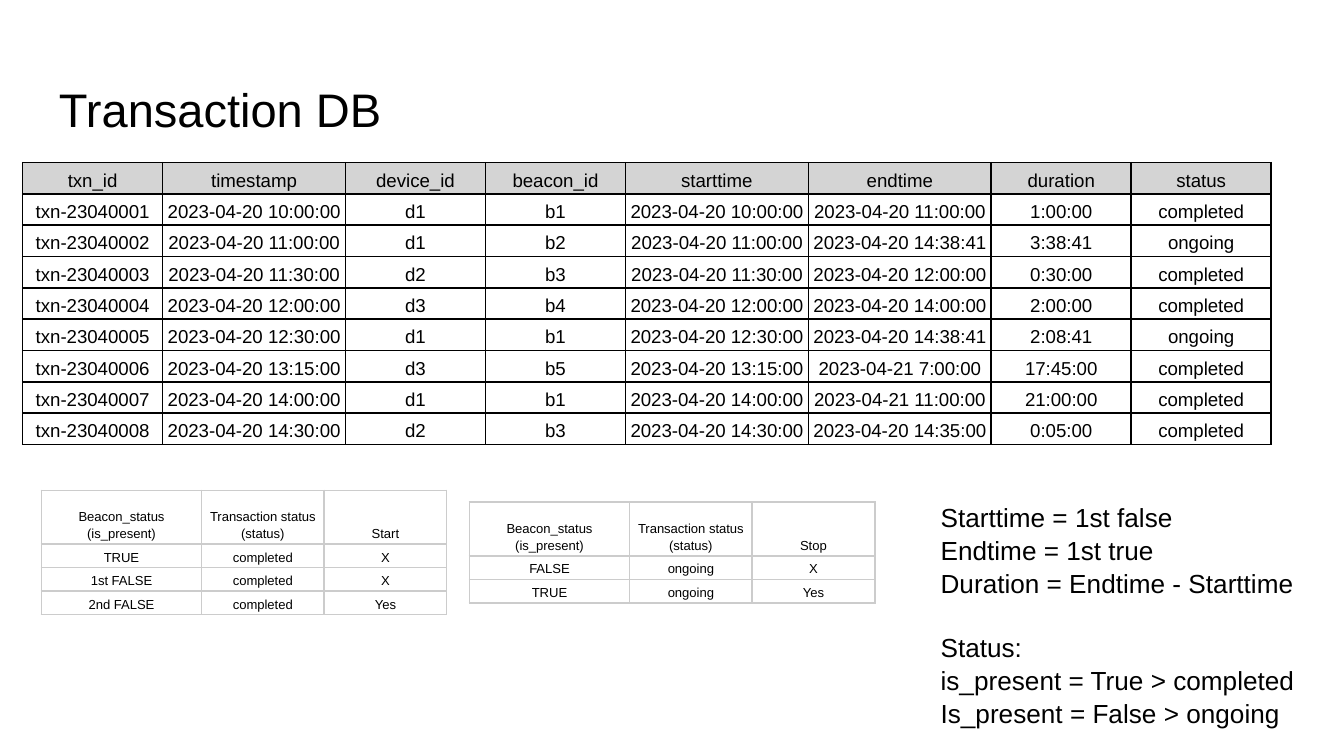
from dataclasses import dataclass

from lxml.etree import SubElement
from pptx import Presentation
from pptx.dml.color import RGBColor
from pptx.enum.text import MSO_ANCHOR, PP_ALIGN
from pptx.oxml.ns import qn
from pptx.util import Pt


@dataclass(frozen=True)
class Theme:
    font: str = "Arial"
    ink: str = "000000"
    head: str = "D4D4D4"
    rule: str = "CCCCCC"
    line: float = 0.94
    title: float = 25.2
    note: float = 14
    cell: float = 10
    small: float = 7


THEME = Theme()

HEADS = ["txn_id", "timestamp", "device_id", "beacon_id",
         "starttime", "endtime", "duration", "status"]
# start, device, beacon, end, duration, status
TRIPS = [
    ("2023-04-20 10:00:00", "d1", "b1", "2023-04-20 11:00:00", "1:00:00", "completed"),
    ("2023-04-20 11:00:00", "d1", "b2", "2023-04-20 14:38:41", "3:38:41", "ongoing"),
    ("2023-04-20 11:30:00", "d2", "b3", "2023-04-20 12:00:00", "0:30:00", "completed"),
    ("2023-04-20 12:00:00", "d3", "b4", "2023-04-20 14:00:00", "2:00:00", "completed"),
    ("2023-04-20 12:30:00", "d1", "b1", "2023-04-20 14:38:41", "2:08:41", "ongoing"),
    ("2023-04-20 13:15:00", "d3", "b5", "2023-04-21 7:00:00", "17:45:00", "completed"),
    ("2023-04-20 14:00:00", "d1", "b1", "2023-04-21 11:00:00", "21:00:00", "completed"),
    ("2023-04-20 14:30:00", "d2", "b3", "2023-04-20 14:35:00", "0:05:00", "completed"),
]
STATES = ["Beacon_status\n(is_present)", "Transaction status\n(status)"]
STARTS = [
    ("TRUE", "completed", "X"),
    ("1st FALSE", "completed", "X"),
    ("2nd FALSE", "completed", "Yes"),
]
STOPS = [("FALSE", "ongoing", "X"), ("TRUE", "ongoing", "Yes")]
TIMES = "Starttime = 1st false\nEndtime = 1st true\nDuration = Endtime - Starttime"
RULES = "Status:\nis_present = True > completed\nIs_present = False > ongoing"


def write(frame, text, size, align=PP_ALIGN.LEFT, space=1.0):
    """Fill a text frame, one paragraph for each line of text."""
    frame.text = text
    for para in frame.paragraphs:
        para.alignment = align
        para.line_spacing = space
        for run in para.runs:
            run.font.name = THEME.font
            run.font.size = Pt(size)
            run.font.color.rgb = RGBColor.from_string(THEME.ink)


def add_box(slide, box, text, anchor=MSO_ANCHOR.TOP, **form):
    frame = slide.shapes.add_textbox(*map(Pt, box)).text_frame
    frame.word_wrap = True
    frame.vertical_anchor = anchor
    frame.margin_left = frame.margin_right = Pt(7.2)
    frame.margin_top = frame.margin_bottom = Pt(7.2)
    write(frame, text, **form)
    return frame


def add_edge(cell, color):
    props = cell._tc.get_or_add_tcPr()
    for side in ("lnL", "lnR", "lnT", "lnB"):
        line = SubElement(props, qn("a:" + side), w=str(int(Pt(THEME.line))))
        fill = SubElement(line, qn("a:solidFill"))
        SubElement(fill, qn("a:srgbClr"), val=color)


def add_grid(slide, spot, cols, highs, rows, size, edge, head=None):
    """Draw a table at spot; highs holds the heading and body row heights."""
    tall = [highs[0]] + [highs[1]] * (len(rows) - 1)
    box = (*spot, sum(cols), sum(tall))
    table = slide.shapes.add_table(len(rows), len(cols), *map(Pt, box)).table
    table.first_row = table.horz_banding = False
    for col, wide in zip(table.columns, cols):
        col.width = Pt(wide)
    for row, high in zip(table.rows, tall):
        row.height = Pt(high)
    for r, texts in enumerate(rows):
        for c, text in enumerate(texts):
            cell = table.cell(r, c)
            cell.margin_left = cell.margin_right = Pt(2.25)
            cell.margin_top = cell.margin_bottom = Pt(1.5)
            cell.vertical_anchor = MSO_ANCHOR.BOTTOM
            write(cell.text_frame, text, size, PP_ALIGN.CENTER, 1.15)
            add_edge(cell, edge)
            if head and r == 0:
                cell.fill.solid()
                cell.fill.fore_color.rgb = RGBColor.from_string(head)
            else:
                cell.fill.background()


def add_log(slide, spot):
    """Transaction table: ids count up, and each timestamp is the start."""
    rows = [HEADS]
    for num, (start, device, beacon, *rest) in enumerate(TRIPS, 1):
        rows.append([f"txn-2304{num:04}", start, device, beacon, start, *rest])
    cols = [98 if "time" in head else 75 for head in HEADS]
    add_grid(slide, spot, cols, (15.8, 15.8), rows, THEME.cell, THEME.ink, THEME.head)


def add_state(slide, spot, name, rows):
    """Small table of the states that start or stop a transaction."""
    add_grid(slide, spot, (85.8, 65.7, 65.7), (28.8, 10), [STATES + [name], *rows],
             THEME.small, THEME.rule)


def add_notes(slide, box):
    frame = add_box(slide, box, TIMES + "\n" + RULES, size=THEME.note, space=1.05)
    frame.paragraphs[len(TIMES.split("\n"))].space_before = Pt(16.9)


def main():
    deck = Presentation()
    deck.slide_width, deck.slide_height = Pt(720), Pt(405)
    slide = deck.slides.add_slide(deck.slide_layouts[6])

    # Title and main table
    add_box(slide, (24.5, 35.3, 671, 45.4), "Transaction DB",
            MSO_ANCHOR.BOTTOM, size=THEME.title)
    add_log(slide, (12.1, 87.1))

    # State tables and rules
    add_state(slide, (22.2, 262.7), "Start", STARTS)
    add_state(slide, (251.5, 269), "Stop", STOPS)
    add_notes(slide, (496.8, 260.6, 212.4, 133.2))

    deck.save("out.pptx")


if __name__ == "__main__":
    main()
